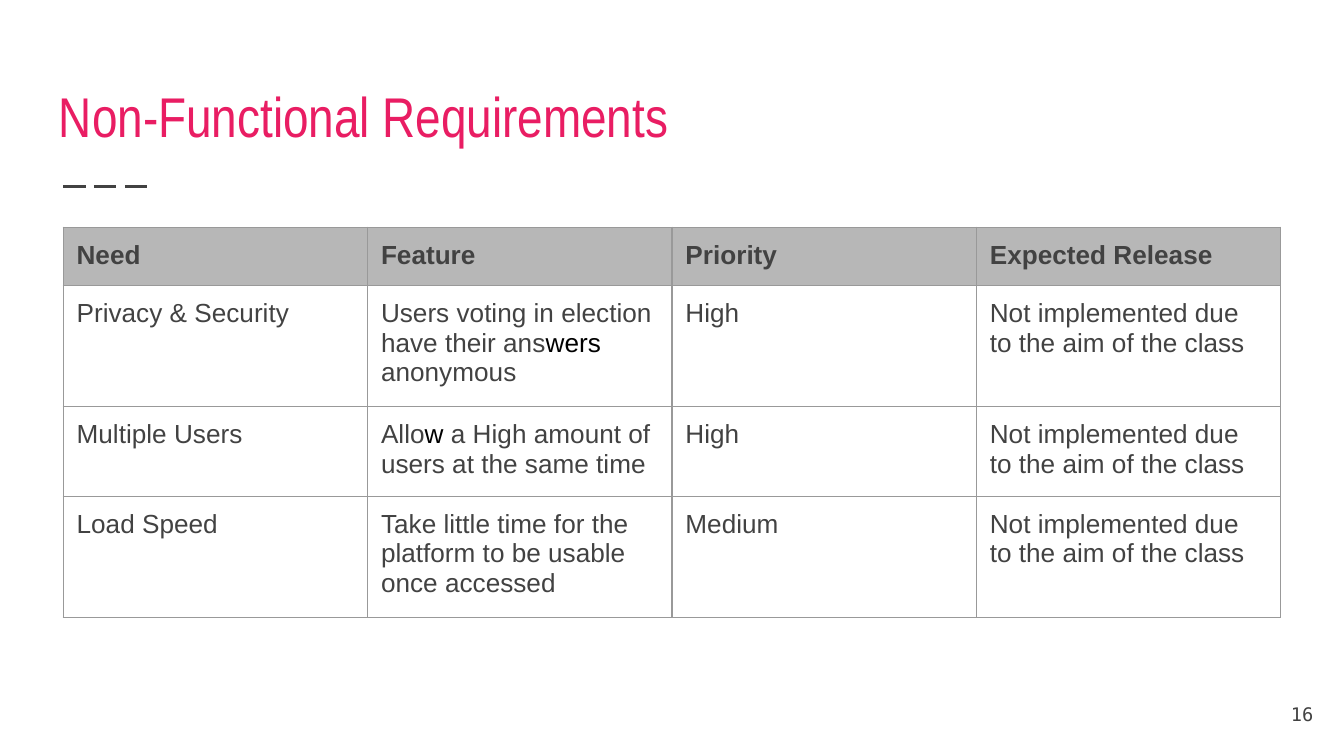
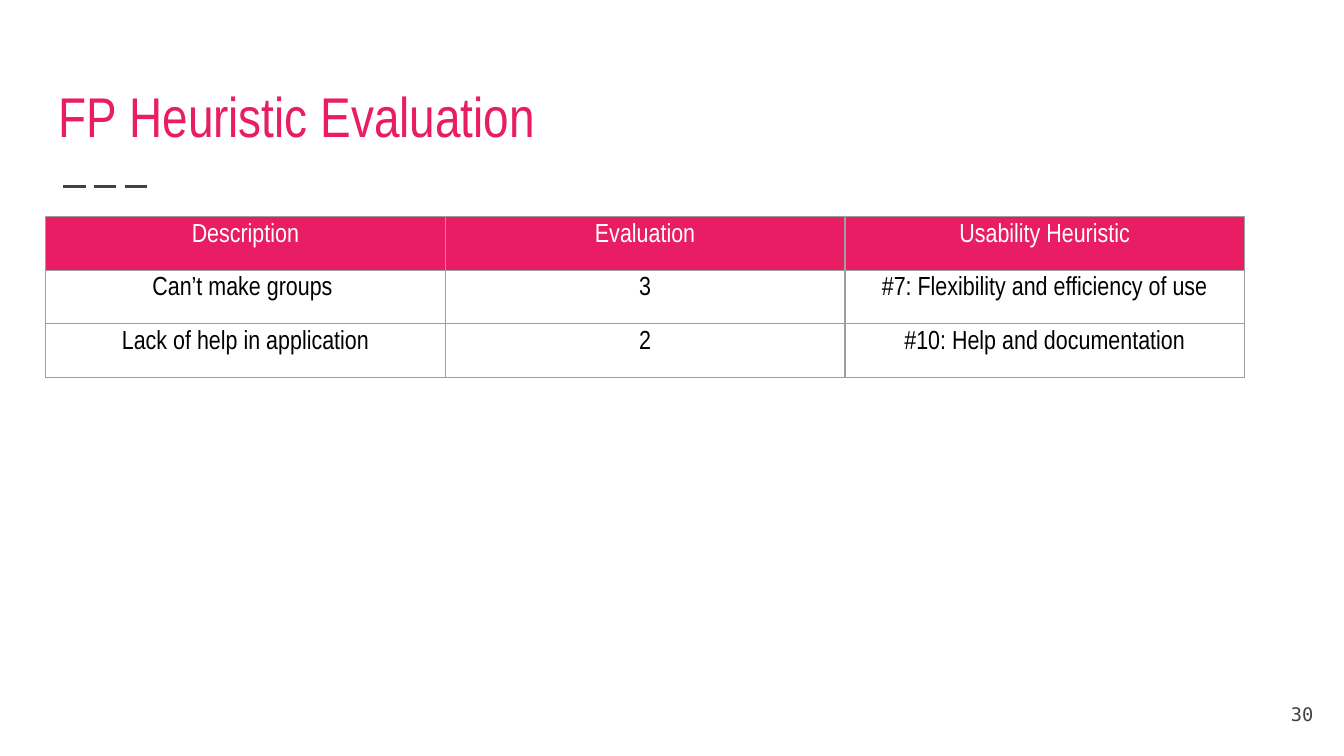
"""Build two table slides: non-functional requirements and heuristic evaluation."""
from lxml import etree
from pptx import Presentation
from pptx.dml.color import RGBColor
from pptx.enum import dml, shapes, text
from pptx.oxml import ns
from pptx.util import Inches, Pt

COLORS = {
    "pink": "E91D63",
    "ink": "424242",
    "black": "000000",
    "white": "FFFFFF",
    "header_gray": "B7B7B7",
    "grid_gray": "999999",
    "grid_light": "9E9E9E",
}
NARROW = "Arial Narrow"
DEFERRED = "Not implemented due to the aim of the class"

PAGES = [
    {
        "title": "Non-Functional Requirements",
        "number": "16",
        "box": (0.47, 1.69, 9.06),
        "row_height": 0.42,
        "margin": 0.1,
        "font": "Arial",
        "align": text.PP_ALIGN.LEFT,
        "header_fill": "header_gray",
        "header_ink": "ink",
        "header_bold": True,
        "body_ink": "ink",
        "grid": "grid_gray",
        "rows": [
            ["Need", "Feature", "Priority", "Expected Release"],
            ["Privacy & Security",
             [("Users voting in election have their ans", "ink"), ("wers", "black"), (" anonymous", "ink")],
             "High", DEFERRED],
            ["Multiple Users",
             [("Allo", "ink"), ("w", "black"), (" a High amount of users at the same time", "ink")],
             "High", DEFERRED],
            ["Load Speed", "Take little time for the platform to be usable once accessed",
             "Medium", DEFERRED],
        ],
    },
    {
        "title": "FP Heuristic Evaluation",
        "number": "30",
        "box": (0.34, 1.61, 8.92),
        "row_height": 0.4,
        "margin": 0.05,
        "font": NARROW,
        "align": text.PP_ALIGN.CENTER,
        "header_fill": "pink",
        "header_ink": "white",
        "header_bold": False,
        "body_ink": "black",
        "grid": "grid_light",
        "rows": [
            ["Description", "Evaluation", "Usability Heuristic"],
            ["Can’t make groups ", "3", "#7: Flexibility and efficiency of use"],
            ["Lack of help in application", "2", "#10: Help and documentation"],
        ],
    },
]


def write(frame, runs, font, size, align, bold=False):
    """Fill a text frame with one paragraph of (words, color) runs."""
    paragraph = frame.paragraphs[0]
    paragraph.alignment = align
    for words, color in runs:
        run = paragraph.add_run()
        run.text = words
        run.font.name = font
        run.font.size = Pt(size)
        run.font.bold = bold
        run.font.color.rgb = RGBColor.from_string(COLORS[color])


def outline(cell, color):
    """Draw thin borders on all four sides of a table cell."""
    properties = cell._tc.get_or_add_tcPr()
    for position, side in enumerate(("lnL", "lnR", "lnT", "lnB")):
        border = etree.Element(ns.qn(f"a:{side}"), w=str(Pt(0.75)))
        fill = etree.SubElement(border, ns.qn("a:solidFill"))
        etree.SubElement(fill, ns.qn("a:srgbClr"), val=COLORS[color])
        properties.insert(position, border)


deck = Presentation()
deck.slide_width = Inches(10)
deck.slide_height = Inches(10) * 9 // 16

for page in PAGES:
    slide = deck.slides.add_slide(deck.slide_layouts[6])
    slide.background.fill.solid()
    slide.background.fill.fore_color.rgb = RGBColor.from_string(COLORS["white"])

    rule = slide.shapes.add_connector(
        shapes.MSO_CONNECTOR.STRAIGHT, Inches(0.47), Inches(1.39), Inches(1.14), Inches(1.39))
    rule.line.color.rgb = RGBColor.from_string(COLORS["ink"])
    rule.line.width = Pt(1.5)
    rule.line.dash_style = dml.MSO_LINE.LONG_DASH
    etree.SubElement(rule._element.spPr, ns.qn("a:effectLst"))

    captions = [
        ((0.34, 0.41, 9.32, 0.8), page["title"], "pink", NARROW, 30,
         text.PP_ALIGN.LEFT, text.MSO_ANCHOR.BOTTOM),
        ((9.27, 5.1, 0.6, 0.43), page["number"], "ink", "DejaVu Sans Mono", 10,
         text.PP_ALIGN.RIGHT, text.MSO_ANCHOR.MIDDLE),
    ]
    for box, words, color, font, size, align, anchor in captions:
        frame = slide.shapes.add_textbox(*map(Inches, box)).text_frame
        frame.word_wrap = True
        frame.margin_left = frame.margin_right = Inches(0.1)
        frame.margin_top = frame.margin_bottom = Inches(0.1)
        frame.vertical_anchor = anchor
        write(frame, [(words, color)], font, size, align)

    rows = page["rows"]
    left, top, width = map(Inches, page["box"])
    row_height = Inches(page["row_height"])
    grid = slide.shapes.add_table(
        len(rows), len(rows[0]), left, top, width, row_height * len(rows)).table
    grid.first_row = False
    grid.horz_banding = False

    for r, entries in enumerate(rows):
        header = r == 0
        ink = page["header_ink"] if header else page["body_ink"]
        for c, entry in enumerate(entries):
            cell = grid.cell(r, c)
            cell.margin_left = cell.margin_right = Inches(0.1)
            cell.margin_top = cell.margin_bottom = Inches(page["margin"])
            runs = [(entry, ink)] if isinstance(entry, str) else entry
            write(cell.text_frame, runs, page["font"], 14, page["align"],
                  header and page["header_bold"])
            if header:
                cell.fill.solid()
                cell.fill.fore_color.rgb = RGBColor.from_string(COLORS[page["header_fill"]])
            else:
                cell.fill.background()
            outline(cell, page["grid"])

deck.save("out.pptx")
